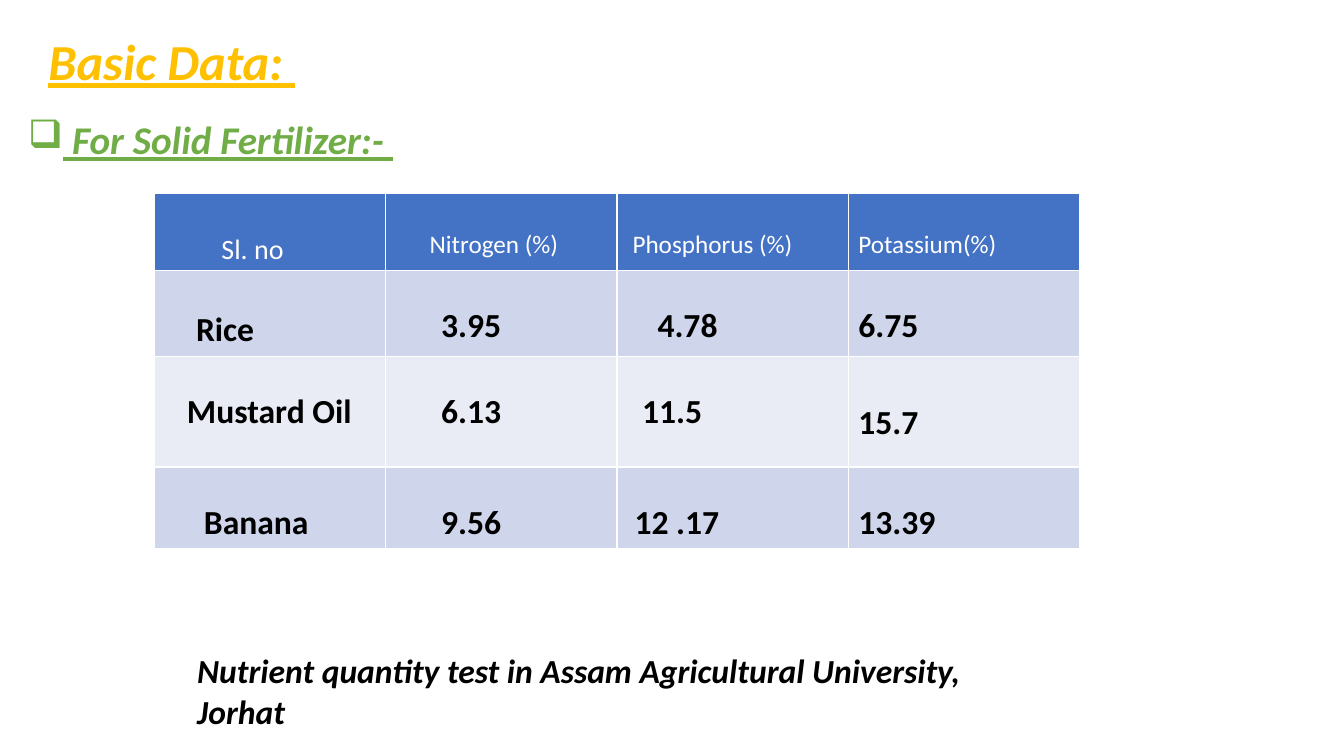
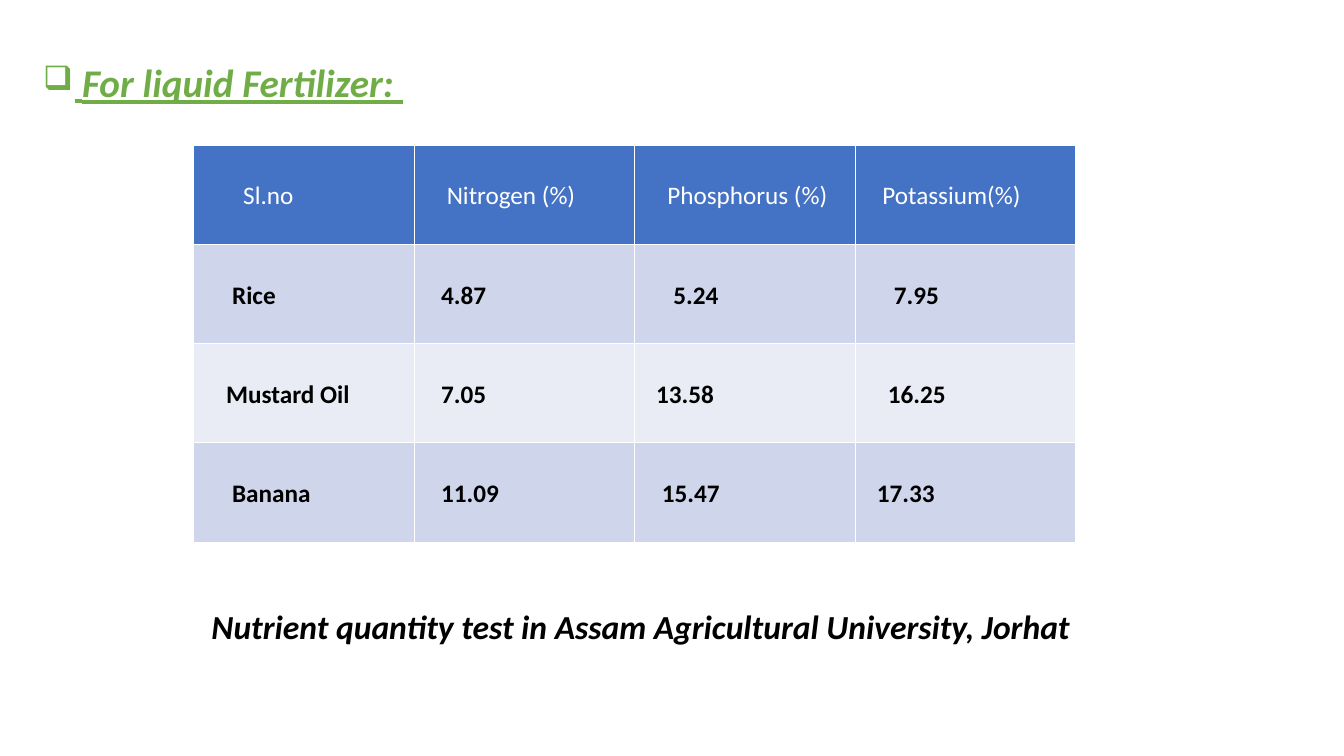
from lxml.etree import SubElement
from pptx import Presentation
from pptx.dml.color import RGBColor
from pptx.oxml.ns import qn
from pptx.util import Cm, Pt

FONT = "Calibri"
GOLD, GREEN, BLACK, WHITE = "FFC000", "70AD47", "000000", "FFFFFF"
HEADER_FILL, BAND_FILLS = "4472C4", ("CFD5EA", "E9EBF5")
HEADING = {"bold": True, "italic": True, "underline": True}
CAPTION = {"bold": True, "italic": True, "size": Pt(24)}
CAPTION_TEXT = "Nutrient quantity test in Assam Agricultural University, Jorhat"

# Space above the cell text, in cm
HIGH, MIDDLE, LOW = 0.9, 0.99, 1.16

# Each cell: text, left indent in cm, then optional space above and text size
SOLID_ROWS = [
    [("Sl. no", 1.69, MIDDLE, 20), ("Nitrogen (%)", 1.11),
     ("Phosphorus (%)", 0.39), ("Potassium(%)", 0.25)],
    [("Rice", 1.05, MIDDLE), ("3.95", 1.4), ("4.78", 1.02), ("6.75", 0.25)],
    [("Mustard Oil", 0.82), ("6.13", 1.4), ("11.5", 0.63), ("15.7", 0.25, LOW)],
    [("Banana", 1.25), ("9.56", 1.4), ("12 .17", 0.44), ("13.39", 0.25)],
]
LIQUID_ROWS = [
    [("Sl.no", 1.25), ("Nitrogen (%)", 0.82),
     ("Phosphorus (%)", 0.82), ("Potassium(%)", 0.68)],
    [("Rice", 0.97), ("4.87", 0.68), ("5.24", 0.97), ("7.95", 0.97)],
    [("Mustard Oil", 0.82), ("7.05", 0.68), ("13.58", 0.54), ("16.25", 0.82)],
    [("Banana", 0.97), ("11.09", 0.68), ("15.47", 0.68), ("17.33", 0.54)],
]


def color(value):
    return RGBColor.from_string(value)


def add_span(para, text, ink, formats):
    span = para.add_run()
    span.text = text
    span.font.name = FONT
    span.font.color.rgb = color(ink)
    for name, value in formats.items():
        setattr(span.font, name, value)


def add_text_box(page, left, top, width, height):
    """Add a wrapping text box and return its first paragraph."""
    box = page.shapes.add_textbox(Cm(left), Cm(top), Cm(width), Cm(height))
    box.text_frame.word_wrap = True
    return box.text_frame.paragraphs[0]


def add_title(page, text):
    para = add_text_box(page, 0.97, 0.64, 8.46, 1.8)
    add_span(para, text, GOLD, {**HEADING, "size": Pt(36)})


def add_box_bullet(para):
    """Give the paragraph a hanging checkbox bullet."""
    properties = para._p.get_or_add_pPr()
    properties.set("marL", str(Cm(0.79)))
    properties.set("indent", str(-Cm(0.79)))
    SubElement(properties, qn("a:buFont"), typeface="Wingdings")
    SubElement(properties, qn("a:buChar"), char="q")


def add_section_heading(page, left, top, text, bullet_size):
    """The size of the leading space sets the size of the bullet."""
    para = add_text_box(page, left, top, 16.94, 1.45)
    add_box_bullet(para)
    add_span(para, " ", GREEN, {**HEADING, "size": Pt(bullet_size)})
    add_span(para, text, GREEN, {**HEADING, "size": Pt(28)})


def add_caption(page, left, top, width):
    para = add_text_box(page, left, top, width, 1.27)
    add_span(para, CAPTION_TEXT, BLACK, CAPTION)


def fill_cell(cell, fill, ink, formats, text, indent, above=HIGH, size=None):
    cell.fill.solid()
    cell.fill.fore_color.rgb = color(fill)
    margins = {"left": indent, "top": above, "right": 0, "bottom": 0}
    for side, margin in margins.items():
        setattr(cell, f"margin_{side}", Cm(margin))
    if size:
        formats = {**formats, "size": Pt(size)}
    add_span(cell.text_frame.paragraphs[0], text, ink, formats)


def add_nutrient_table(page, left, top, column_width, heights, rows, body_size):
    columns = len(rows[0])
    table = page.shapes.add_table(
        len(rows), columns, Cm(left), Cm(top),
        Cm(column_width * columns), Cm(sum(heights))).table
    for column in table.columns:
        column.width = Cm(column_width)
    for index, (height, row) in enumerate(zip(heights, rows)):
        table.rows[index].height = Cm(height)
        if index == 0:
            look = HEADER_FILL, WHITE, {"bold": False, "size": Pt(18)}
        else:
            look = (BAND_FILLS[(index - 1) % 2], BLACK,
                    {"bold": True, "size": Pt(body_size)})
        for position, content in enumerate(row):
            fill_cell(table.cell(index, position), *look, *content)


def build_solid_page(page):
    add_title(page, "Basic Data: ")
    add_section_heading(page, 0.46, 2.79, "For Solid Fertilizer:- ", 28)
    add_nutrient_table(page, 3.89, 4.88, 5.83, [1.93, 2.17, 2.79, 2.05],
                       SOLID_ROWS, 24)
    add_caption(page, 4.72, 16.26, 22)


def build_liquid_page(page):
    add_section_heading(page, 0.84, 1.35, "For liquid Fertilizer: ", 24)
    add_nutrient_table(page, 4.88, 3.66, 5.56, [2.5] * 4, LIQUID_ROWS, 18)
    add_caption(page, 5.08, 15.14, 22.23)


def main():
    deck = Presentation()
    deck.slide_width, deck.slide_height = Cm(33.87), Cm(19.05)
    for build in (build_solid_page, build_liquid_page):
        build(deck.slides.add_slide(deck.slide_layouts[6]))
    deck.save("out.pptx")


if __name__ == "__main__":
    main()
